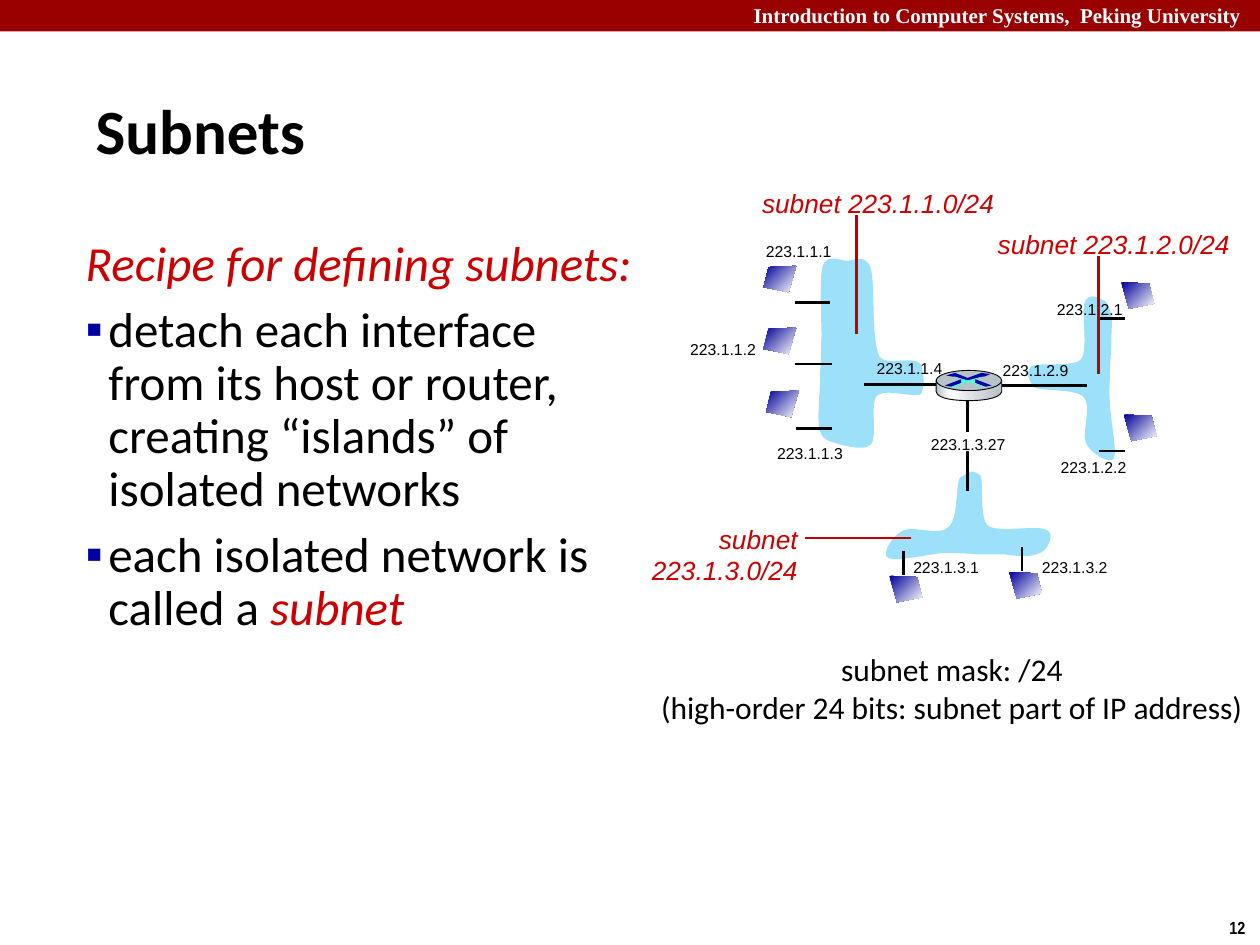
from dataclasses import dataclass

from lxml.etree import SubElement
from pptx import Presentation
from pptx.dml.color import RGBColor
from pptx.enum.shapes import MSO_CONNECTOR, MSO_SHAPE
from pptx.enum.text import MSO_ANCHOR, MSO_AUTO_SIZE, PP_ALIGN
from pptx.oxml.ns import qn
from pptx.slide import Slide
from pptx.util import Pt

PX = 9144
BLACK = RGBColor(0x00, 0x00, 0x00)
WHITE = RGBColor(0xFF, 0xFF, 0xFF)
MAROON = RGBColor(0x99, 0x00, 0x00)
RED = RGBColor(0xCC, 0x00, 0x00)
LEADER_RED = RGBColor(0xC0, 0x00, 0x00)
NAVY = RGBColor(0x00, 0x00, 0xA3)
HOST_BLUE = RGBColor(0x00, 0x00, 0x99)
ISLAND_BLUE = RGBColor(0x9C, 0xE0, 0xFA)
STEEL = RGBColor(0xB8, 0xC2, 0xC9)
SILVER = RGBColor(0xD6, 0xDC, 0xE0)
AQUA = RGBColor(0x47, 0xFF, 0xD1)

ISLANDS = [
    ((762, 379), [(758, 385, 761, 411, 753, 418), (746, 426, 725, 417, 717, 421),
                  (708, 425, 699, 440, 705, 443), (710, 446, 737, 440, 748, 439),
                  (760, 439, 766, 439, 774, 440), (782, 440, 790, 440, 797, 440),
                  (804, 441, 813, 442, 818, 441), (824, 440, 829, 438, 831, 434),
                  (833, 431, 837, 422, 829, 420), (821, 417, 790, 423, 784, 417),
                  (777, 411, 781, 382, 778, 377), (771, 374, 774, 372, 762, 379)]),
    ((820, 307), [(827, 311, 852, 308, 860, 315), (867, 323, 858, 344, 862, 352),
                  (866, 360, 881, 369, 884, 364), (887, 359, 881, 332, 881, 320),
                  (880, 309, 881, 303, 881, 295), (881, 287, 882, 279, 882, 272),
                  (882, 264, 883, 256, 882, 250), (881, 245, 879, 239, 875, 238),
                  (872, 236, 864, 232, 861, 240), (858, 247, 864, 278, 858, 285),
                  (853, 292, 824, 287, 818, 291), (815, 297, 814, 295, 820, 307)]),
    ((732, 293), [(731, 279, 704, 292, 698, 283), (691, 269, 695, 226, 691, 213),
                  (687, 201, 678, 207, 672, 207), (666, 207, 657, 201, 653, 211),
                  (650, 221, 652, 254, 652, 267), (651, 281, 652, 284, 651, 293),
                  (651, 301, 651, 308, 650, 316), (650, 323, 649, 331, 650, 337),
                  (651, 343, 651, 347, 658, 350), (664, 352, 684, 359, 691, 353),
                  (697, 347, 690, 321, 696, 314), (703, 308, 725, 316, 731, 313),
                  (733, 306, 734, 307, 732, 293)]),
]
ADDRESSES = [
    ("223.1.1.1", 598, 187), ("223.1.1.2", 538, 265), ("223.1.1.3", 607, 347),
    ("223.1.1.4", 686, 280), ("223.1.2.9", 786, 281), ("223.1.2.2", 832, 358),
    ("223.1.2.1", 829, 233), ("223.1.3.2", 817, 438), ("223.1.3.1", 715, 438),
]
HOST_LINKS = [
    (631, 240, 659, 240), (631, 289, 660, 289), (632, 340, 660, 340),
    (872, 253, 893, 253), (872, 358, 893, 358), (717, 437, 717, 456),
    (811, 434, 811, 453),
]
ROUTER_LINKS = [(686, 305, 751, 305), (783, 306, 863, 306)]
LEFT_HOSTS = [(606, 211), (606, 260), (608, 310)]
RIGHT_HOSTS = [(890, 224), (892, 329), (801, 454), (706, 457)]
HOST_CORNERS = [(0, 0), (22, 1), (26, 17), (6, 21)]
ROUTER_SIDE = [(795, 311), (793, 317, 777, 318, 769, 318), (760, 318, 744, 317, 743, 311),
               (743, 309, 743, 304, 743, 302), (745, 307, 760, 310, 768, 310),
               (777, 310, 792, 308, 795, 302)]
ROUTER_MARKS = [
    ([(779, 296), (786, 297), (781, 299), (780, 299), (768, 302), (758, 299),
      (756, 299), (751, 298), (758, 296), (768, 300)], NAVY),
    ([(774, 301), (787, 306), (782, 307), (774, 304)], NAVY),
    ([(763, 301), (763, 304), (755, 307), (750, 306)], NAVY),
    ([(756, 299), (758, 299), (768, 302), (779, 299), (781, 299), (774, 301),
      (774, 304), (782, 307), (780, 307), (768, 303), (757, 308), (755, 307),
      (763, 304), (763, 301)], AQUA),
]


@dataclass
class SubnetSlide:
    """Draws styled elements on one slide, with lengths in px."""

    slide: Slide
    heading_font: str = "Calibri"
    label_font: str = "Arial"

    def style(self, paragraph, size, color=BLACK, font=None, bold=False, italic=False,
              align=PP_ALIGN.LEFT):
        paragraph.alignment = align
        paragraph.font.name = font or self.label_font
        paragraph.font.size = Pt(size)
        paragraph.font.color.rgb = color
        paragraph.font.bold = bold
        paragraph.font.italic = italic

    def place(self, shape, x, y, width, height):
        shape.left, shape.top, shape.width, shape.height = (
            v * PX for v in (x, y, width, height))

    def text(self, x, y, width, height, lines, size, wrap=False, **look):
        box = self.slide.shapes.add_textbox(x * PX, y * PX, width * PX, height * PX)
        box.text_frame.word_wrap = wrap
        box.text_frame.text = "\n".join(lines)
        for paragraph in box.text_frame.paragraphs:
            self.style(paragraph, size, **look)

    def finish(self, shape, fill, outline=None):
        shape.shadow.inherit = False
        if isinstance(fill, RGBColor):
            shape.fill.solid()
            shape.fill.fore_color.rgb = fill
        else:
            angle, stops = fill
            shape.fill.gradient()
            shape.fill.gradient_angle = angle
            stop_list = shape._element.spPr.find(".//" + qn("a:gsLst"))
            stop_list.clear()
            for percent, color in stops:
                stop = SubElement(stop_list, qn("a:gs"), pos=str(percent * 1000))
                SubElement(stop, qn("a:srgbClr"), val=str(color))
        if outline is None:
            shape.line.fill.background()
        else:
            shape.line.color.rgb = outline
            shape.line.width = Pt(0.5)

    def preset(self, kind, x, y, width, height, fill, outline=None):
        shape = self.slide.shapes.add_shape(kind, x * PX, y * PX, width * PX, height * PX)
        self.finish(shape, fill, outline)

    def outline(self, start, segments, fill, outline=None):
        points = [pair for segment in segments for pair in zip(segment[::2], segment[1::2])]
        builder = self.slide.shapes.build_freeform(*start, scale=PX)
        builder.add_line_segments(points, close=True)
        shape = builder.convert_to_shape()
        corners = iter(shape._element.spPr.findall(".//" + qn("a:lnTo")))
        for segment in segments:
            corner = next(corners)
            if len(segment) == 6:
                corner.tag = qn("a:cubicBezTo")
                for follower in (next(corners), next(corners)):
                    corner.append(follower[0])
                    follower.getparent().remove(follower)
        self.finish(shape, fill, outline)

    def line(self, x1, y1, x2, y2, color=BLACK, width=1.5):
        link = self.slide.shapes.add_connector(
            MSO_CONNECTOR.STRAIGHT, x1 * PX, y1 * PX, x2 * PX, y2 * PX)
        link.line.color.rgb = color
        link.line.width = Pt(width)
        SubElement(link._element.spPr, qn("a:effectLst"))

    def title(self, words):
        title = self.slide.shapes.title
        self.place(title, 66, 66, 862, 73)
        title.text_frame.text = words
        title.text_frame.vertical_anchor = MSO_ANCHOR.MIDDLE
        self.style(title.text_frame.paragraphs[0], 36, font=self.heading_font, bold=True)

    def recipe(self, heading, steps):
        body = self.slide.placeholders[1]
        self.place(body, 50, 187, 465, 439)
        frame = body.text_frame
        frame.auto_size = MSO_AUTO_SIZE.NONE
        frame.margin_left = frame.margin_right = 7 * PX
        frame.margin_top = frame.margin_bottom = 3 * PX
        for index, (plain, stressed) in enumerate([("", heading)] + steps):
            paragraph = frame.add_paragraph() if index else frame.paragraphs[0]
            properties = paragraph._p.get_or_add_pPr()
            properties.set("marL", str(29 * PX))
            properties.set("indent", str(-18 * PX))
            if index:
                SubElement(SubElement(properties, qn("a:buClr")), qn("a:srgbClr"), val=str(NAVY))
                SubElement(properties, qn("a:buFont"), typeface=self.label_font)
                SubElement(properties, qn("a:buChar"), char="▪")
            else:
                SubElement(properties, qn("a:buNone"))
            paragraph.line_spacing = 0.9
            paragraph.space_before = Pt(7.5 if index else 0)
            look = {"font": self.heading_font}
            if not plain:
                look.update(color=RED, italic=True)
            self.style(paragraph, 28, **look)
            if plain:
                paragraph.add_run().text = plain
            if stressed:
                run = paragraph.add_run()
                run.text = stressed
                if plain:
                    run.font.color.rgb = RED
                    run.font.italic = True


def main():
    deck = Presentation()
    deck.slide_width, deck.slide_height = 1000 * PX, 750 * PX
    page = SubnetSlide(deck.slides.add_slide(deck.slide_layouts[1]))

    page.preset(MSO_SHAPE.RECTANGLE, 0, 0, 1000, 25, MAROON)
    page.text(475, -3, 524, 30, ["Introduction to Computer Systems,  Peking University "], 12,
              wrap=True, color=WHITE, font="Times New Roman", bold=True, align=PP_ALIGN.RIGHT)
    page.text(966, 723, 34, 27, ["12"], 10, font="Arial Narrow", bold=True)
    page.title("Subnets")
    page.recipe("Recipe for defining subnets:", [
        ("detach each interface from its host or router, creating “islands” of isolated networks", ""),
        ("each isolated network is called a ", "subnet")])

    for start, curves in ISLANDS:
        page.outline(start, curves, ISLAND_BLUE)
    page.preset(MSO_SHAPE.RECTANGLE, 545, 272, 68, 15, WHITE)
    for address, x, y in ADDRESSES:
        page.text(x, y, 73, 25, [address], 9)
    page.line(768, 318, 768, 390)
    page.preset(MSO_SHAPE.RECTANGLE, 734, 343, 70, 15, WHITE)
    page.text(729, 340, 80, 25, ["223.1.3.27"], 9)
    for ends in HOST_LINKS + ROUTER_LINKS:
        page.line(*ends)

    host_fill = (315, [(0, HOST_BLUE), (100, WHITE)])
    mirrored = [(26 - x, y) for x, y in HOST_CORNERS]
    for hosts, corners in ((LEFT_HOSTS, mirrored), (RIGHT_HOSTS, HOST_CORNERS)):
        for left, top in hosts:
            first, *others = [(left + x, top + y) for x, y in corners]
            page.outline(first, others, host_fill)
    side_fill = (0, [(0, STEEL), (21, WHITE), (60, SILVER), (100, STEEL)])
    page.outline((795, 302), ROUTER_SIDE, side_fill, BLACK)
    page.preset(MSO_SHAPE.OVAL, 743, 294, 52, 16, STEEL, BLACK)
    for (first, *others), color in ROUTER_MARKS:
        page.outline(first, others, color)

    page.text(512, 511, 487, 71,
              ["subnet mask: /24", "(high-order 24 bits: subnet part of IP address)"], 18,
              font=page.heading_font, align=PP_ALIGN.CENTER)
    page.text(506, 410, 137, 61, ["subnet", "223.1.3.0/24"], 15, color=RED, italic=True,
              align=PP_ALIGN.RIGHT)
    page.line(639, 427, 723, 427, LEADER_RED, 1.25)
    for subnet, x, y, leader in (("subnet 223.1.1.0/24", 595, 144, 680),
                                 ("subnet 223.1.2.0/24", 782, 176, 872)):
        page.text(x, y, 206, 35, [subnet], 15, color=RED, italic=True)
        page.line(leader, y + 27, leader, y + 121, LEADER_RED)

    deck.save("out.pptx")


if __name__ == "__main__":
    main()
